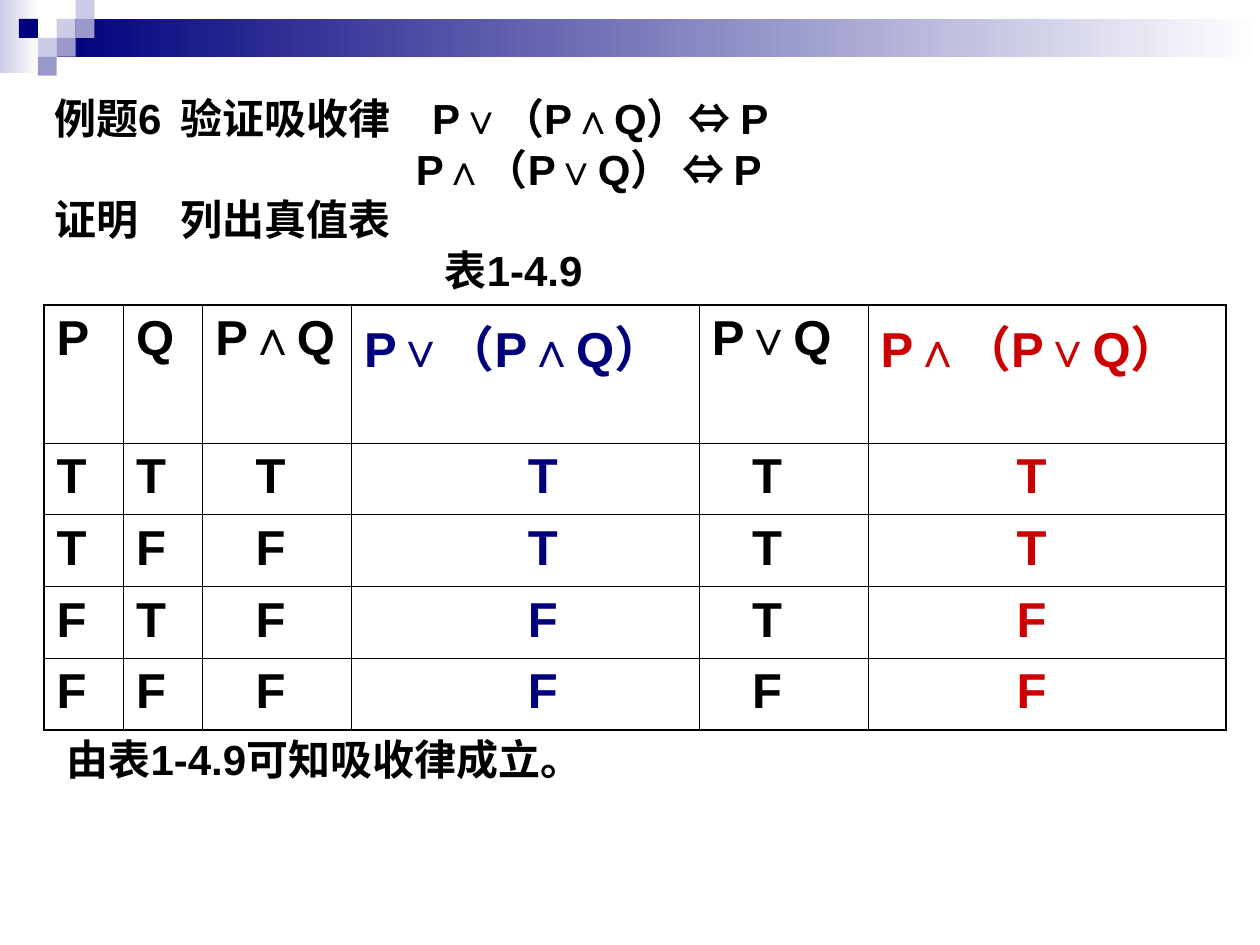
from lxml.etree import SubElement
from pptx import Presentation
from pptx.dml.color import RGBColor
from pptx.enum.shapes import MSO_SHAPE
from pptx.enum.text import MSO_ANCHOR, MSO_AUTO_SIZE
from pptx.oxml.ns import qn
from pptx.util import Inches, Pt

BLACK = RGBColor(0x00, 0x00, 0x00)
WHITE = RGBColor(0xFF, 0xFF, 0xFF)
NAVY = RGBColor(0x00, 0x00, 0x7D)
LILAC = RGBColor(0xCC, 0xCC, 0xE6)
VIOLET = RGBColor(0x99, 0x99, 0xCC)
RED = RGBColor(0xCC, 0x00, 0x00)

# Text, left indent and tab stops in inches
INTRO = [
    ("例题6\t验证吸收律\tP∨（P∧Q）⇔ P", 0, (1.2, 3.1)),
    ("P∧（P∨Q） ⇔ P", 2.87, ()),
    ("证明\t列出真值表", 0, (0.82,)),
    ("表1-4.9", 3.1, ()),
]
CONCLUSION = "由表1-4.9可知吸收律成立。"

# Heading, column width, indent of the truth values, colour
COLUMNS = [
    ("P", 0.63, 0, BLACK),
    ("Q", 0.63, 0, BLACK),
    ("P∧Q", 1.18, 0.32, BLACK),
    ("P∨（P∧Q）", 2.76, 1.3, NAVY),
    ("P∨Q", 1.34, 0.32, BLACK),
    ("P∧（P∨Q）", 2.84, 1.08, RED),
]
TRUTH_ROWS = ["TTTTTT", "TFFTTT", "FTFFTF", "FFFFFF"]
HEADER_HEIGHT, ROW_HEIGHT = 1.04, 0.57
OUTER_LINE, INNER_LINE = 1.08, 0.45

# Mosaic squares as column, row and colour on a grid of one tile
TILE = 0.15
MOSAIC = [
    (3, 1, LILAC), (4, 0, LILAC), (4, 1, VIOLET), (2, 2, LILAC),
    (1, 1, NAVY), (3, 2, VIOLET), (2, 3, VIOLET),
]


def add_block(page, left, top, width, height, *colours):
    """Add a borderless rectangle: one colour is solid, two fade left to right."""
    block = page.shapes.add_shape(
        MSO_SHAPE.RECTANGLE, *map(Inches, (left, top, width, height)))
    block.shadow.inherit = False
    block.line.fill.background()
    if len(colours) == 1:
        block.fill.solid()
        block.fill.fore_color.rgb = colours[0]
        return
    block.fill.gradient()
    block.fill.gradient_angle = 0
    for stop, colour in zip(block.fill.gradient_stops, colours):
        stop.color.rgb = colour


def style(paragraph, size, colour=BLACK):
    for span in paragraph.runs:
        span.font.name = "Arial"
        span.font.size = Pt(size)
        span.font.bold = True
        span.font.color.rgb = colour


def set_borders(cell, widths):
    properties = cell._tc.get_or_add_tcPr()
    for side, width in widths.items():
        line = SubElement(properties, qn(f"a:ln{side}"), w=str(Pt(width)))
        fill = SubElement(line, qn("a:solidFill"))
        SubElement(fill, qn("a:srgbClr"), val=str(BLACK))


def add_decoration(page):
    add_block(page, 0, 0, 0.31, 0.58, LILAC, WHITE)
    add_block(page, 3 * TILE, TILE, 10 - 3 * TILE, 2 * TILE, NAVY, WHITE)
    for column, row, colour in MOSAIC:
        add_block(page, column * TILE, row * TILE, TILE, TILE, colour)


def fill_intro(box):
    box.left, box.top, box.width, box.height = map(Inches, (0.33, 0.76, 9.39, 1.73))
    frame = box.text_frame
    frame.auto_size = MSO_AUTO_SIZE.NONE
    frame.vertical_anchor = MSO_ANCHOR.TOP
    for index, (text, indent, tabs) in enumerate(INTRO):
        paragraph = frame.paragraphs[0] if index == 0 else frame.add_paragraph()
        paragraph.text = text
        properties = paragraph._p.get_or_add_pPr()
        properties.set("marL", str(Inches(indent)))
        properties.set("indent", "0")
        SubElement(properties, qn("a:buNone"))
        if tabs:
            stops = SubElement(properties, qn("a:tabLst"))
            for position in tabs:
                SubElement(stops, qn("a:tab"), pos=str(Inches(position)), algn="l")
        paragraph.line_spacing = 0.8
        paragraph.space_before = Pt(6 if index else 0)
        style(paragraph, 24)


def add_truth_table(page):
    headings, widths, indents, colours = zip(*COLUMNS)
    rows = [headings, *TRUTH_ROWS]
    heights = [HEADER_HEIGHT] + [ROW_HEIGHT] * len(TRUTH_ROWS)
    table = page.shapes.add_table(
        len(rows), len(COLUMNS),
        *map(Inches, (0.35, 2.42, sum(widths), sum(heights)))).table
    table.first_row = table.horz_banding = False
    for column, width in zip(table.columns, widths):
        column.width = Inches(width)
    last_row, last_column = len(rows) - 1, len(COLUMNS) - 1
    for r, (values, height) in enumerate(zip(rows, heights)):
        table.rows[r].height = Inches(height)
        for c, value in enumerate(values):
            cell = table.cell(r, c)
            cell.text_frame.text = value
            cell.margin_left = Inches(0.1 + (indents[c] if r else 0))
            style(cell.text_frame.paragraphs[0], 28, colours[c])
            edges = {"L": c == 0, "R": c == last_column,
                     "T": r == 0, "B": r == last_row}
            set_borders(cell, {side: OUTER_LINE if outer else INNER_LINE
                               for side, outer in edges.items()})
            cell.fill.background()


def add_conclusion(page):
    box = page.shapes.add_textbox(*map(Inches, (0.43, 5.77, 6.85, 0.5)))
    box.text_frame.word_wrap = True
    box.text_frame.text = CONCLUSION
    style(box.text_frame.paragraphs[0], 24)


def main():
    deck = Presentation()
    deck.slide_width, deck.slide_height = Inches(10), Inches(7.5)
    page = deck.slides.add_slide(deck.slide_layouts[1])
    title = page.shapes.title._element
    title.getparent().remove(title)
    add_decoration(page)
    fill_intro(page.placeholders[1])
    add_truth_table(page)
    add_conclusion(page)
    deck.save("out.pptx")


if __name__ == "__main__":
    main()
